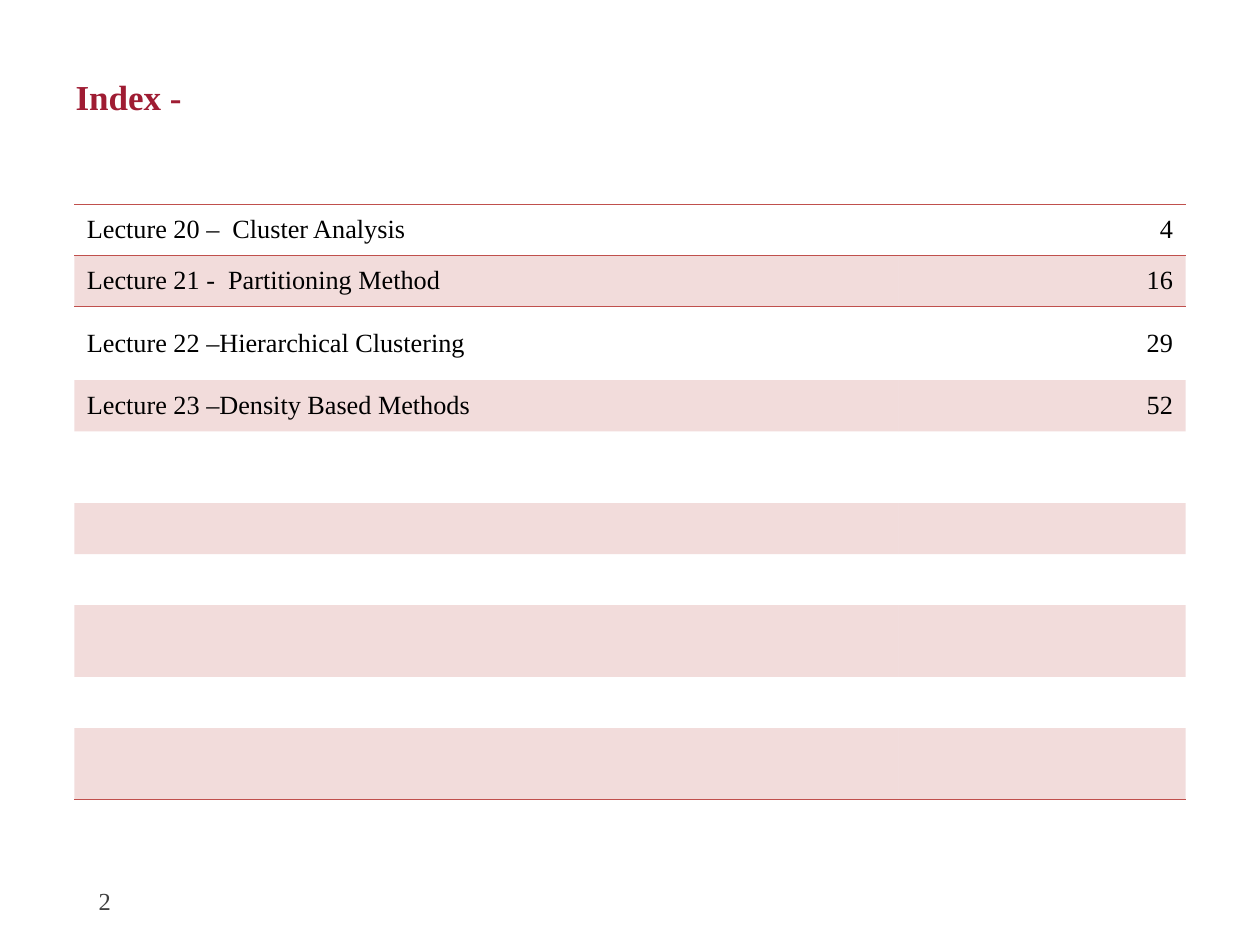
import pptx
import pptx.dml.color
import pptx.enum.text
import pptx.oxml
import pptx.oxml.ns
import pptx.util

Pt = pptx.util.Pt
ALIGN = pptx.enum.text.PP_ALIGN
MIDDLE = pptx.enum.text.MSO_ANCHOR.MIDDLE

FONT = "Times New Roman"
ACCENT = "C0504D"
NO_GRID_STYLE = "{2D5ABB26-0587-4C30-8999-92F81FD0307C}"

LECTURES = [
    ("Lecture 20 –  Cluster Analysis", "4"),
    ("Lecture 21 -  Partitioning Method", "16"),
    ("Lecture 22 –Hierarchical Clustering", "29"),
    ("Lecture 23 –Density Based Methods", "52"),
]
COLUMN_WIDTHS = [471, 164]
SHORT, TALL = 29.2, 41
ROW_HEIGHTS = [SHORT, SHORT, 42.3, SHORT, TALL, SHORT, SHORT, TALL, SHORT, TALL]


def color(value):
    return pptx.dml.color.RGBColor.from_string(value)


class IndexSlide:
    """Holds the text style and the current slide."""

    def __init__(self, presentation):
        self.slide = presentation.slides.add_slide(presentation.slide_layouts[5])
        self.inset = {"margin_left": Pt(7.2), "margin_right": Pt(7.2),
                      "margin_top": Pt(3.6), "margin_bottom": Pt(3.6),
                      "vertical_anchor": MIDDLE}

    def apply(self, target, values):
        for name, value in values.items():
            setattr(target, name, value)

    def add_text(self, frame, text, size, ink, align=ALIGN.LEFT, bold=False):
        paragraph = frame.paragraphs[0]
        paragraph.alignment = align
        run = paragraph.add_run()
        run.text = text
        self.apply(run.font, {"name": FONT, "size": Pt(size), "bold": bold})
        run.font.color.rgb = color(ink)

    def title(self, text, left, top, width, height):
        shape = self.slide.shapes.title
        self.apply(shape, {"left": Pt(left), "top": Pt(top),
                           "width": Pt(width), "height": Pt(height)})
        self.apply(shape.text_frame, {**self.inset, "word_wrap": True})
        self.add_text(shape.text_frame, text, 20, "9F1C33", bold=True)

    def page_number(self, text, left, top, width, height):
        shape = self.slide.shapes.add_textbox(Pt(left), Pt(top), Pt(width), Pt(height))
        self.apply(shape.text_frame, {**self.inset, "word_wrap": True})
        self.add_text(shape.text_frame, text, 14, "404040", ALIGN.RIGHT)

    def tint(self, cell):
        cell.fill.solid()
        cell.fill.fore_color.rgb = color(ACCENT)
        fill_color = cell._tc.tcPr.find(".//" + pptx.oxml.ns.qn("a:srgbClr"))
        fill_color.append(pptx.oxml.parse_xml(
            f'<a:alpha {pptx.oxml.ns.nsdecls("a")} val="20000"/>'))

    def rule(self, cell, side):
        """Draw a thin line; borders must come before the fill."""
        cell._tc.get_or_add_tcPr().insert(0, pptx.oxml.parse_xml(
            f'<a:ln{side} {pptx.oxml.ns.nsdecls("a")} w="5715"><a:solidFill>'
            f'<a:srgbClr val="{ACCENT}"/></a:solidFill></a:ln{side}>'))

    def table(self, entries, left, top):
        frame = self.slide.shapes.add_table(
            len(ROW_HEIGHTS), len(COLUMN_WIDTHS), Pt(left), Pt(top),
            Pt(sum(COLUMN_WIDTHS)), Pt(sum(ROW_HEIGHTS)))
        table = frame.table
        self.apply(table, {"first_row": False, "horz_banding": False})
        table._tbl.tblPr.find(pptx.oxml.ns.qn("a:tableStyleId")).text = NO_GRID_STYLE
        for column, width in zip(table.columns, COLUMN_WIDTHS):
            column.width = Pt(width)
        last = len(ROW_HEIGHTS) - 1
        for index, height in enumerate(ROW_HEIGHTS):
            table.rows[index].height = Pt(height)
            for position, align in enumerate((ALIGN.LEFT, ALIGN.RIGHT)):
                cell = table.cell(index, position)
                self.apply(cell, self.inset)
                if index < len(entries):
                    self.add_text(cell.text_frame, entries[index][position], 15,
                                  "000000", align)
                # Every second row is tinted
                if index % 2:
                    self.tint(cell)
                else:
                    cell.fill.background()
                # Lines around the first row and under the last one
                if index in (0, last):
                    self.rule(cell, "B")
                if index in (0, 1):
                    self.rule(cell, "T")


def main():
    presentation = pptx.Presentation()
    presentation.slide_width, presentation.slide_height = Pt(720), Pt(540)
    index = IndexSlide(presentation)
    index.title("Index -", 36, 21.6, 648, 67)
    index.page_number("2", 33.1, 500.4, 37.4, 28.8)
    index.table(LECTURES, 42.5, 116.6)
    presentation.save("out.pptx")


if __name__ == "__main__":
    main()
